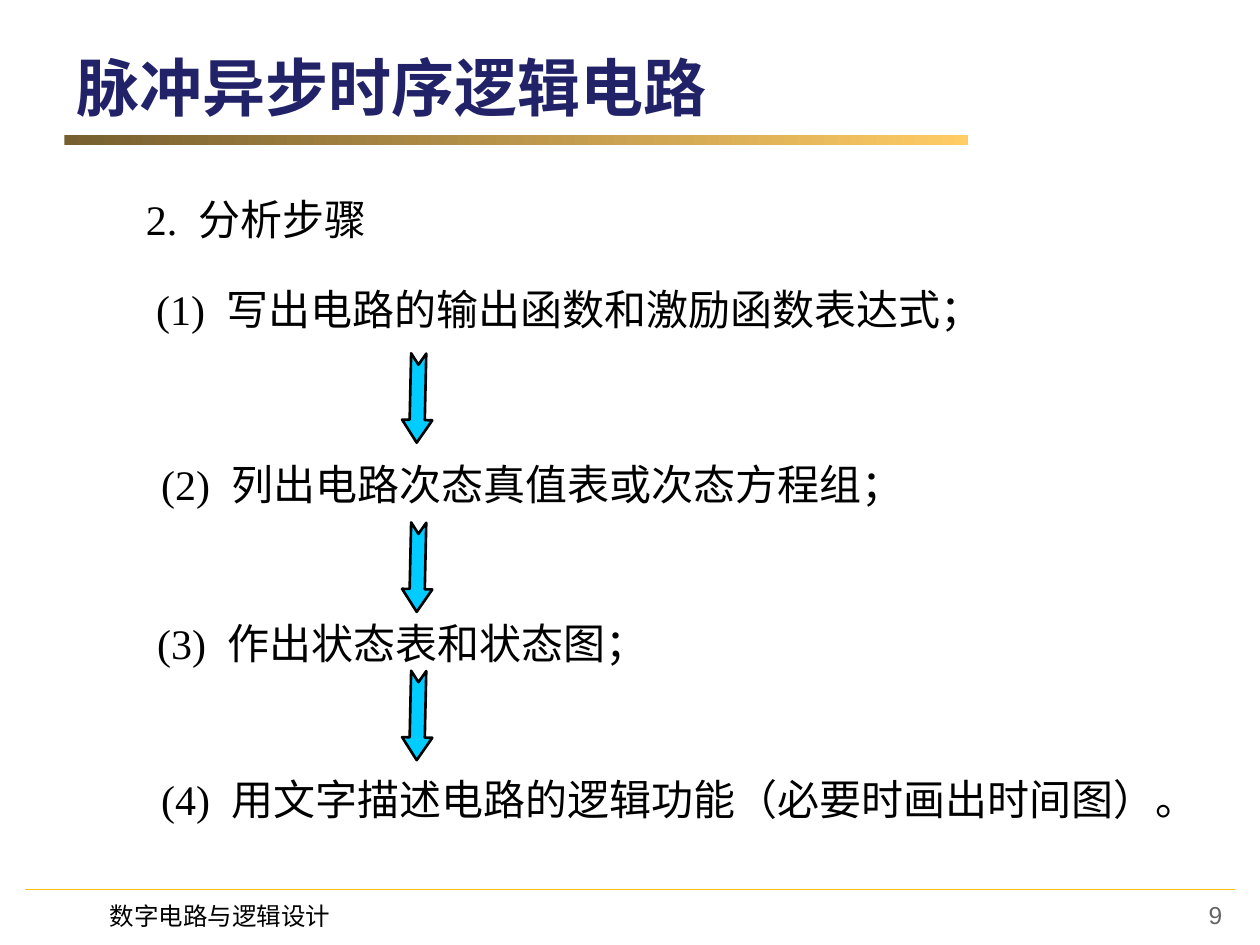
from dataclasses import dataclass

from lxml import etree
from pptx import Presentation
from pptx.dml.color import RGBColor
from pptx.enum.shapes import MSO_CONNECTOR, MSO_SHAPE
from pptx.enum.text import MSO_ANCHOR, PP_ALIGN
from pptx.oxml.ns import qn
from pptx.util import Cm, Pt

RECT = MSO_SHAPE.RECTANGLE
ARROW = MSO_SHAPE.NOTCHED_RIGHT_ARROW
STRAIGHT = MSO_CONNECTOR.STRAIGHT
LEFT, RIGHT = PP_ALIGN.LEFT, PP_ALIGN.RIGHT
TOP, MIDDLE = MSO_ANCHOR.TOP, MSO_ANCHOR.MIDDLE
CJK, SERIF, SANS = "Noto Sans CJK SC", "Times New Roman", "Arial"


@dataclass
class Step:
    """A numbered line of text with its box in centimetres."""
    label: str
    text: str
    left: float
    top: float
    width: float


STEPS = [
    Step("2.", "分析步骤", 2.69, 3.78, 8.31),
    Step("(1)", "写出电路的输出函数和激励函数表达式；", 2.9, 5.59, 17.42),
    Step("(2)", "列出电路次态真值表或次态方程组；", 3, 9.12, 15.52),
    Step("(3)", "作出状态表和状态图；", 2.92, 12.32, 10.8),
    Step("(4)", "用文字描述电路的逻辑功能（必要时画出时间图）。", 3, 15.47, 21.6),
]
ARROW_TOPS = [7.72, 11.13, 14.12]


def rgb(value: str) -> RGBColor:
    """Turn a hex string into a colour."""
    return RGBColor.from_string(value)


def add_text(s, text: str, left: float, top: float, width: float, height: float, *,
             size: float = 24, font: str = SERIF, color: str = "000000",
             bold: bool = False, align=LEFT, anchor=TOP, label: str = "") -> None:
    """Add a one-line text box, with an optional label and a wide gap before the text."""
    tf = s.shapes.add_textbox(Cm(left), Cm(top), Cm(width), Cm(height)).text_frame
    tf.word_wrap = True
    tf.vertical_anchor = anchor
    p = tf.paragraphs[0]
    p.alignment = align
    for part in [label, " ", text] if label else [text]:
        r = p.add_run()
        r.text = part
        r.font.size, r.font.bold, r.font.name = Pt(size), bold, font
        r.font.color.rgb = rgb(color)
        rPr = r.font._element if hasattr(r.font, "_element") else r._r.get_or_add_rPr()
        etree.SubElement(rPr, qn("a:ea")).set("typeface", CJK)
        if part == " ":
            rPr.set("spc", "600")


def add_arrow(s, top: float) -> None:
    """Add a notched arrow turned to point down."""
    sp = s.shapes.add_shape(ARROW, Cm(7.52), Cm(top), Cm(1.8), Cm(0.61))
    sp.shadow.inherit = False
    sp.rotation = 91.3
    sp.adjustments[0], sp.adjustments[1] = 0.5, 0.75
    sp.fill.solid()
    sp.fill.fore_color.rgb = rgb("00CCFF")
    sp.line.color.rgb = rgb("000000")
    sp.line.width = Pt(1.5)


def add_title_bar(s) -> None:
    """Add the gradient bar under the title."""
    sp = s.shapes.add_shape(RECT, Cm(1.3), Cm(2.72), Cm(18.21), Cm(0.2))
    sp.shadow.inherit = False
    sp.line.fill.background()
    sp.fill.gradient()
    sp.fill.gradient_angle = 0
    for stop, position, color in zip(sp.fill.gradient_stops, (0, 1), ("765E2F", "FFCC66")):
        stop.position = position
        stop.color.rgb = rgb(color)


def add_footer_line(s) -> None:
    """Add the thin line above the footer."""
    line = s.shapes.add_connector(STRAIGHT, Cm(0.51), Cm(17.93), Cm(24.89), Cm(17.93))
    line.line.color.rgb = rgb("FFC000")
    line.line.width = Pt(0.75)
    etree.SubElement(line._element.spPr, qn("a:effectLst"))


def main() -> None:
    """Build the slide and save it."""
    prs = Presentation()
    prs.slide_width, prs.slide_height = Cm(25.4), Cm(19.05)
    s = prs.slides.add_slide(prs.slide_layouts[6])
    add_footer_line(s)
    add_title_bar(s)
    for step in STEPS:
        add_text(s, step.text, step.left, step.top, step.width, 1.27, label=step.label)
    for top in ARROW_TOPS:
        add_arrow(s, top)
    add_text(s, "脉冲异步时序逻辑电路", 1.3, 0.76, 22.81, 1.96, size=36, font=CJK,
             color="222268", bold=True, anchor=MIDDLE)
    add_text(s, "9", 18.97, 18.01, 5.92, 1.32, size=14, font=SANS, color="656565", align=RIGHT)
    add_text(s, "数字电路与逻辑设计", 1.96, 18.03, 5.31, 0.86, size=14, font=CJK)
    prs.save("out.pptx")


if __name__ == "__main__":
    main()
